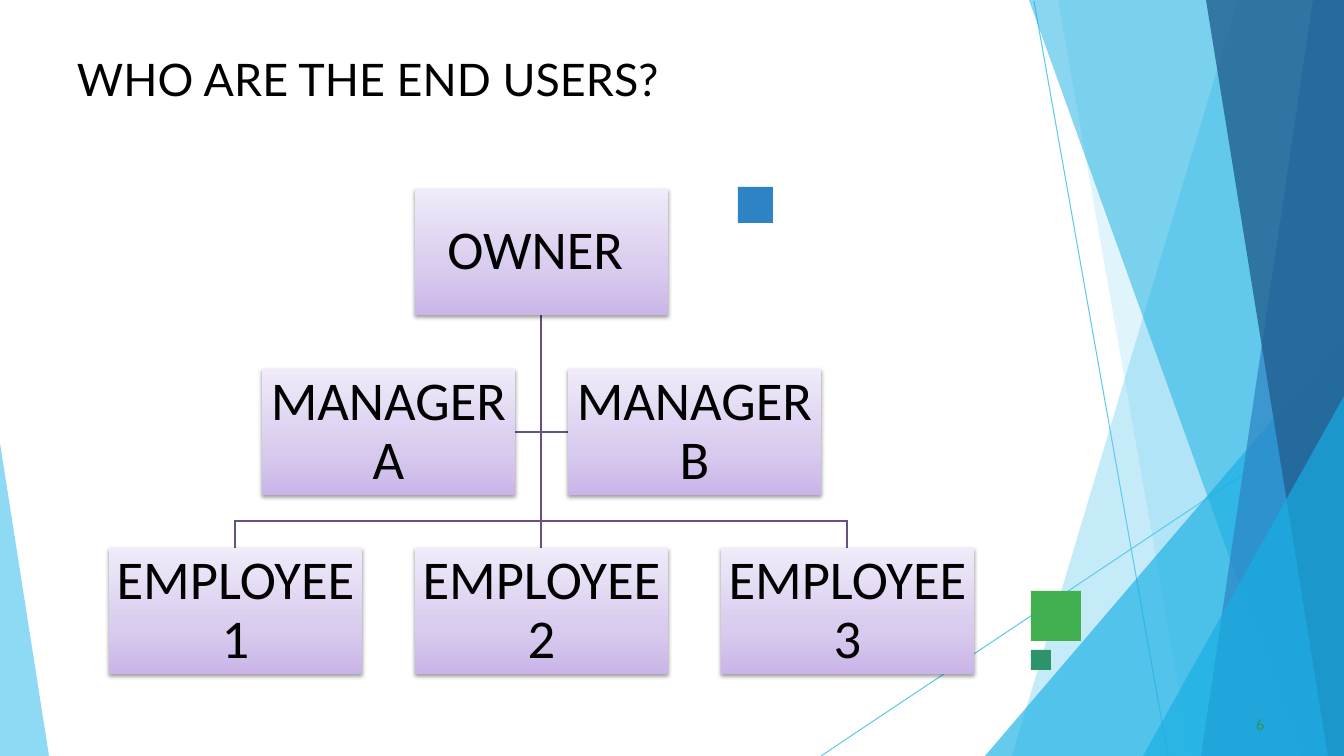
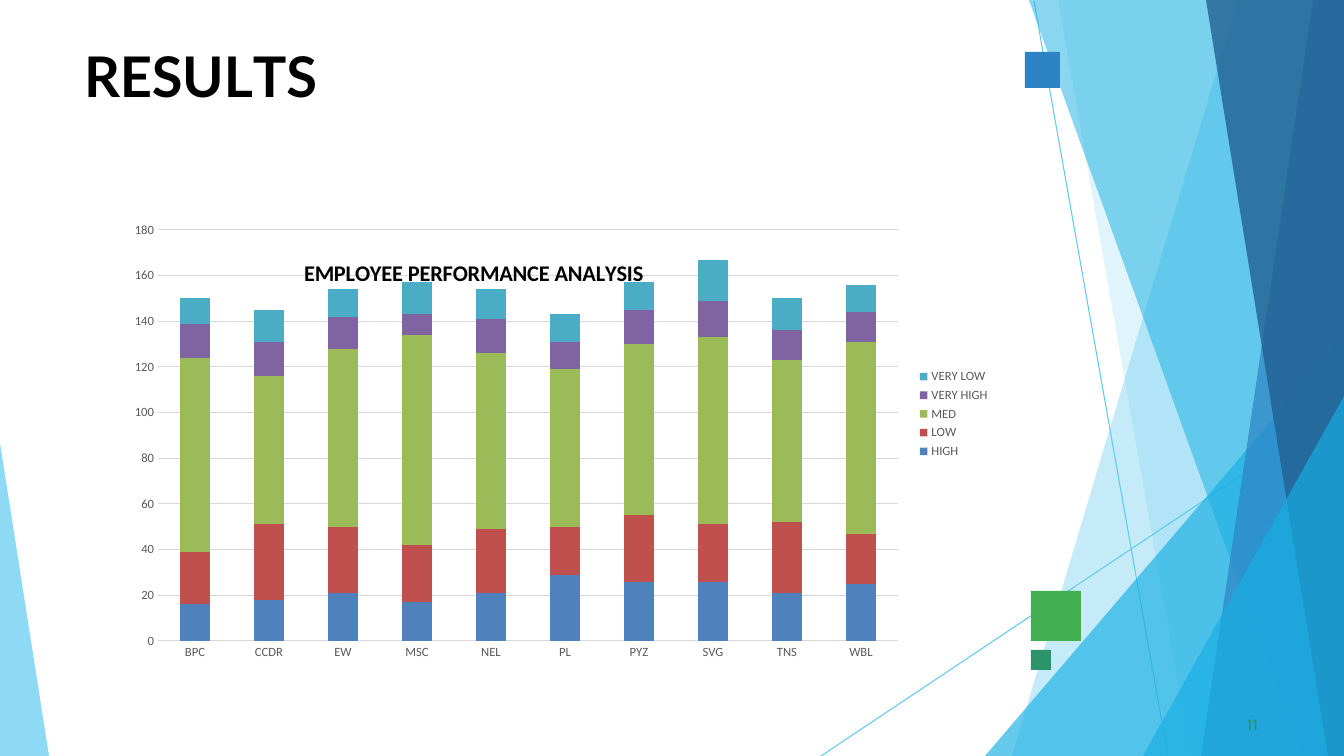
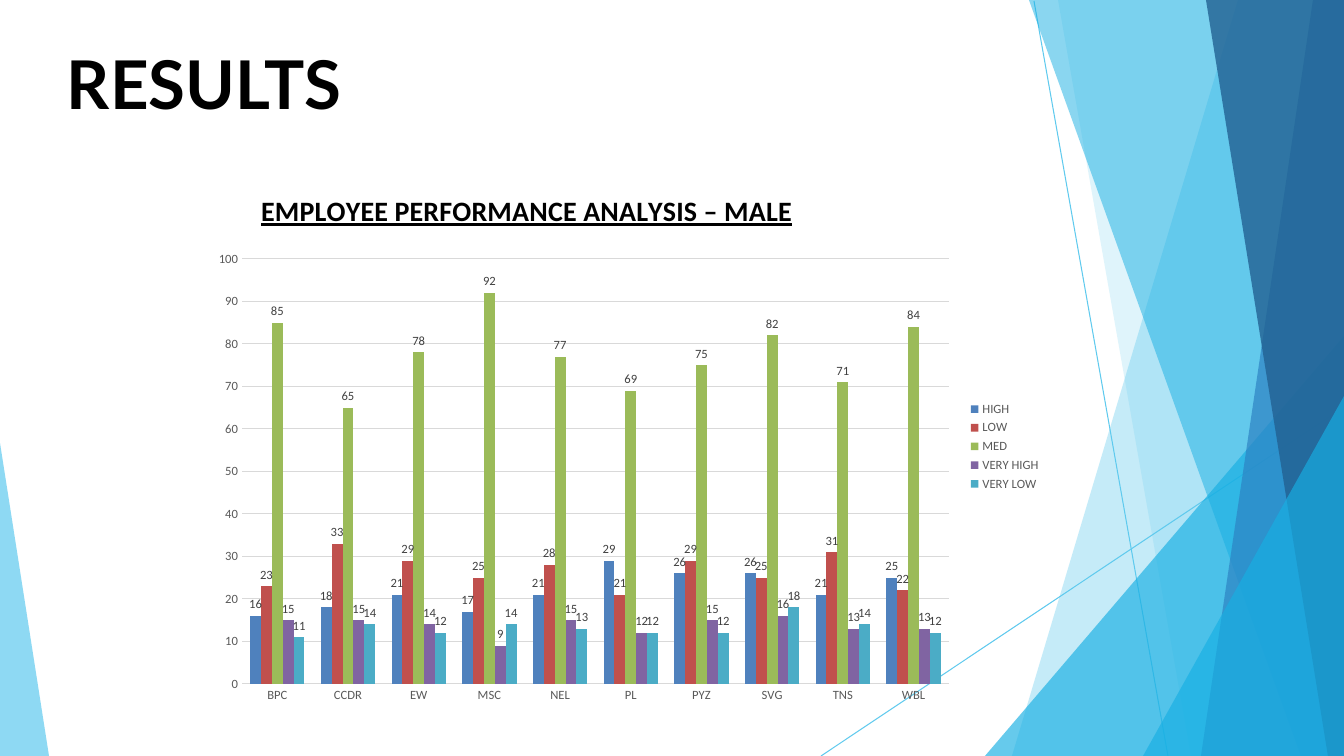
from lxml import etree
from pptx import Presentation
from pptx import util as u
from pptx.chart.data import CategoryChartData
from pptx.dml.color import RGBColor
from pptx.enum import chart as charts, shapes, text
from pptx.oxml import parse_xml
from pptx.oxml.ns import nsdecls, qn

SLIDE_W, SLIDE_H = 1344, 756
EMU_PER_PX = 12192000 / SLIDE_W

COLORS = {
    "ink": "000000", "sky": "5FCAEE", "cyan": "17AFE3", "blue": "2D83C3",
    "navy": "226192", "green": "42AF51", "teal": "2D936B", "branch": "675082",
    "axis": "595959", "label": "404040", "grid": "D9D9D9",
}
BOX_STOPS = ((0, "C9B5E8"), (35, "D8CBEE"), (100, "F0EAF9"))
RIBBONS = (
    ("sky", 36, ((1344, 0), (1238, 0), (1012, 756), (1344, 756))),
    ("sky", 20, ((1344, 0), (1058, 0), (1191, 756), (1344, 756))),
    ("cyan", 66, ((1344, 336), (985, 756), (1344, 756))),
    ("cyan", 50, ((1344, 0), (1029, 0), (1301, 756), (1344, 756))),
    ("blue", 70, ((1344, 0), (1313, 0), (1201, 756), (1344, 756))),
    ("navy", 80, ((1344, 0), (1206, 0), (1328, 756), (1344, 756))),
    ("cyan", 66, ((1344, 396), (1143, 756), (1344, 756))),
    ("sky", 70, ((0, 443), (0, 756), (49, 756))),
)
THIN_LINES = ((1034, 1, 1168, 756), (1344, 407, 821, 756))

DEPARTMENTS = ("BPC", "CCDR", "EW", "MSC", "NEL", "PL", "PYZ", "SVG", "TNS", "WBL")
RATINGS = (
    ("HIGH", "4F81BD", (16, 18, 21, 17, 21, 29, 26, 26, 21, 25)),
    ("LOW", "C0504D", (23, 33, 29, 25, 28, 21, 29, 25, 31, 22)),
    ("MED", "9BBB59", (85, 65, 78, 92, 77, 69, 75, 82, 71, 84)),
    ("VERY HIGH", "8064A2", (15, 15, 14, 9, 15, 12, 15, 16, 13, 13)),
    ("VERY LOW", "4BACC6", (11, 14, 12, 14, 13, 12, 12, 18, 14, 12)),
)


def px(length):
    return u.Emu(round(length * EMU_PER_PX))


def rgb(name):
    return RGBColor.from_string(COLORS.get(name, name))


def manual_layout(frame, x, y, size=None):
    left, top, width, height = frame
    parts = [("xMode", "edge"), ("yMode", "edge"),
             ("x", (x - left) / width), ("y", (y - top) / height)]
    if size:
        parts.insert(0, ("layoutTarget", "inner"))
        parts += [("w", size[0] / width), ("h", size[1] / height)]
    body = "".join(
        f'<c:{tag} val="{value if isinstance(value, str) else round(value, 4)}"/>'
        for tag, value in parts)
    return parse_xml(f'<c:layout {nsdecls("c")}><c:manualLayout>{body}</c:manualLayout></c:layout>')


def drop_layout(parent):
    for layout in parent.findall(qn("c:layout")):
        parent.remove(layout)


class Deck:
    def __init__(self):
        self.prs = Presentation()
        self.prs.slide_width, self.prs.slide_height = px(SLIDE_W), px(SLIDE_H)
        self.slide = None

    def new_slide(self):
        self.slide = self.prs.slides.add_slide(self.prs.slide_layouts[6])
        for line in THIN_LINES:
            self.line(*line, "sky", 0.75)
        for color, alpha, points in RIBBONS:
            self.ribbon(color, alpha, points)

    def line(self, x1, y1, x2, y2, color, width):
        line = self.slide.shapes.add_connector(
            shapes.MSO_CONNECTOR.STRAIGHT, px(x1), px(y1), px(x2), px(y2))
        line.line.color.rgb = rgb(color)
        line.line.width = u.Pt(width)
        etree.SubElement(line.element.spPr, qn("a:effectLst"))

    def ribbon(self, color, alpha, points):
        corners = [(px(x), px(y)) for x, y in points]
        builder = self.slide.shapes.build_freeform(*corners[0], scale=1.0)
        builder.add_line_segments(corners[1:], close=True)
        ribbon = builder.convert_to_shape()
        self.paint(ribbon, color)
        tint = ribbon.element.spPr.find(".//" + qn("a:srgbClr"))
        etree.SubElement(tint, qn("a:alpha")).set("val", str(alpha * 1000))

    def paint(self, shape, color):
        shape.shadow.inherit = False
        shape.line.fill.background()
        shape.fill.solid()
        shape.fill.fore_color.rgb = rgb(color)

    def rect(self, x, y, w, h, color):
        rect = self.slide.shapes.add_shape(
            shapes.MSO_SHAPE.RECTANGLE, px(x), px(y), px(w), px(h))
        self.paint(rect, color)
        return rect

    def accents(self, x, y):
        self.rect(1031, 591, 50, 50, "green")
        self.rect(x, y, 35, 36, "blue")
        self.rect(1031, 650, 20, 20, "teal")

    def add_runs(self, frame, runs, font, size, color="ink", bold=False, margin=0):
        frame.word_wrap = True
        frame.margin_left = frame.margin_right = px(margin)
        frame.margin_top = frame.margin_bottom = px(margin)
        paragraph = frame.paragraphs[0]
        for words, spacing in runs:
            run = paragraph.add_run()
            run.text = words
            run.font.name, run.font.size, run.font.bold = font, u.Pt(size), bold
            run.font.color.rgb = rgb(color)
            if spacing:
                run.font._element.set("spc", str(round(spacing * 100)))
        return paragraph

    def textbox(self, x, y, w, h, runs, font, size, before=0, **style):
        box = self.slide.shapes.add_textbox(px(x), px(y), px(w), px(h))
        paragraph = self.add_runs(box.text_frame, runs, font, size, **style)
        paragraph.space_before = u.Pt(before)

    def title(self, x, y, w, h, runs, size, bold=True, before=0):
        self.textbox(x, y, w, h, runs, "Lato", size, before, bold=bold)

    def page_number(self, x, number):
        self.textbox(x, 715, 28, 21, [(number, 0.1)], "Cabin", 11, 0.6, color="teal")

    def org_box(self, x, y, w, h, role):
        box = self.rect(x, y, w, h, "FFFFFF")
        stops = "".join(
            f'<a:gs pos="{pos * 1000}"><a:srgbClr val="{color}"/></a:gs>'
            for pos, color in BOX_STOPS)
        properties = box.element.spPr
        properties.replace(properties.find(qn("a:solidFill")), parse_xml(
            f'<a:gradFill {nsdecls("a")} rotWithShape="1"><a:gsLst>{stops}</a:gsLst>'
            '<a:lin ang="16200000" scaled="0"/></a:gradFill>'))
        properties.find(qn("a:effectLst")).append(parse_xml(
            f'<a:outerShdw {nsdecls("a")} blurRad="39370" dist="20320" dir="5400000" '
            'rotWithShape="0"><a:srgbClr val="000000"><a:alpha val="38000"/>'
            '</a:srgbClr></a:outerShdw>'))
        frame = box.text_frame
        frame.vertical_anchor = text.MSO_ANCHOR.MIDDLE
        paragraph = self.add_runs(frame, [(role, 0)], "Calibri", 39, margin=3)
        paragraph.alignment = text.PP_ALIGN.CENTER
        paragraph.line_spacing = 0.9

    def chart_font(self, font, size, color):
        font.name, font.size = "Calibri", u.Pt(size)
        font.color.rgb = rgb(color)

    def chart(self, kind, frame, plot_box, heading, heading_at, heading_size,
              top, step, overlap=0, underline=False, labels=False):
        data = CategoryChartData()
        data.categories = DEPARTMENTS
        for name, _, values in RATINGS:
            data.add_series(name, values)
        chart = self.slide.shapes.add_chart(kind, *map(px, frame), data).chart
        self.chart_font(chart.font, 10, "ink")

        chart.has_title = True
        run = chart.chart_title.text_frame.paragraphs[0].add_run()
        run.text = heading
        self.chart_font(run.font, heading_size, "ink")
        run.font.bold, run.font.underline = True, underline
        title = chart.chart_title._element
        drop_layout(title)
        title.find(qn("c:tx")).addnext(manual_layout(frame, *heading_at))

        chart.has_legend = True
        chart.legend.position = charts.XL_LEGEND_POSITION.RIGHT
        chart.legend.include_in_layout = False
        self.chart_font(chart.legend.font, 9, "axis")

        for axis in (chart.category_axis, chart.value_axis):
            axis.major_tick_mark = charts.XL_TICK_MARK.NONE
            axis.minor_tick_mark = charts.XL_TICK_MARK.NONE
            axis.format.line.fill.background()
            self.chart_font(axis.tick_labels.font, 9, "axis")
        scale = chart.value_axis
        scale.minimum_scale, scale.maximum_scale, scale.major_unit = 0, top, step
        scale.has_major_gridlines = True
        grid = scale.major_gridlines.format.line
        grid.color.rgb, grid.width = rgb("grid"), u.Pt(0.75)

        plot = chart.plots[0]
        plot.vary_by_categories = False
        plot.gap_width, plot.overlap = 150, overlap
        for series, (_, color, _) in zip(plot.series, RATINGS):
            series.format.fill.solid()
            series.format.fill.fore_color.rgb = rgb(color)
            if labels:
                values = series.data_labels
                values.show_value = True
                values.position = charts.XL_LABEL_POSITION.OUTSIDE_END
                self.chart_font(values.font, 9, "label")
        area = chart._chartSpace.chart.plotArea
        drop_layout(area)
        x, y, w, h = plot_box
        area.insert(0, manual_layout(frame, x, y, (w, h)))


def end_users(deck):
    deck.new_slide()
    deck.accents(738, 187)
    deck.title(77, 52, 640, 57, [("WHO ARE THE END USERS?", 0.05)], 32, False, 1.3)
    deck.page_number(1256, "6")

    box_w, box_h, pitch, center = 253, 126, 306, 541
    owner_y, manager_y, employee_y = 189, 369, 548
    bus_y, manager_mid = 521, manager_y + box_h // 2
    employees = [center + pitch * k for k in (-1, 0, 1)]
    managers = [center - pitch // 2, center + pitch // 2]
    branches = [
        (center, owner_y + box_h, center, employee_y),
        (managers[0] + box_w // 2, manager_mid, managers[1] - box_w // 2, manager_mid),
        (employees[0] - 1, bus_y, employees[2] + 1, bus_y),
    ] + [(x, bus_y, x, employee_y) for x in (employees[0], employees[2])]
    for branch in branches:
        deck.line(*branch, "branch", 2)

    roles = [(center, owner_y, "OWNER ")]
    roles += [(x, employee_y, f"EMPLOYEE {n}") for n, x in enumerate(employees, 1)]
    roles += [(x, manager_y, f"MANAGER {n}") for n, x in zip("AB", managers)]
    for x, y, role in roles:
        deck.org_box(x - box_w // 2, y, box_w, box_h, role)


def overall_results(deck):
    deck.new_slide()
    deck.accents(1025, 52)
    deck.title(84, 42, 320, 70, [("RESU", -0.15), ("L", -4), ("TS", 0)], 40, before=1.1)
    deck.page_number(1247, "11")
    deck.chart(charts.XL_CHART_TYPE.COLUMN_STACKED, (118, 159, 882, 510),
               (158, 230, 740, 411), "EMPLOYEE PERFORMANCE ANALYSIS", (300, 254), 16,
               180, 20, overlap=100)


def male_results(deck):
    deck.new_slide()
    deck.title(67, 42, 1193, 84, [("RESULTS", 0)], 48)
    deck.chart(charts.XL_CHART_TYPE.COLUMN_CLUSTERED, (202, 180, 849, 533),
               (242, 259, 707, 425), "EMPLOYEE PERFORMANCE ANALYSIS – MALE", (256, 186), 20,
               100, 10, underline=True, labels=True)


def main():
    deck = Deck()
    end_users(deck)
    overall_results(deck)
    male_results(deck)
    deck.prs.save("out.pptx")


if __name__ == "__main__":
    main()
